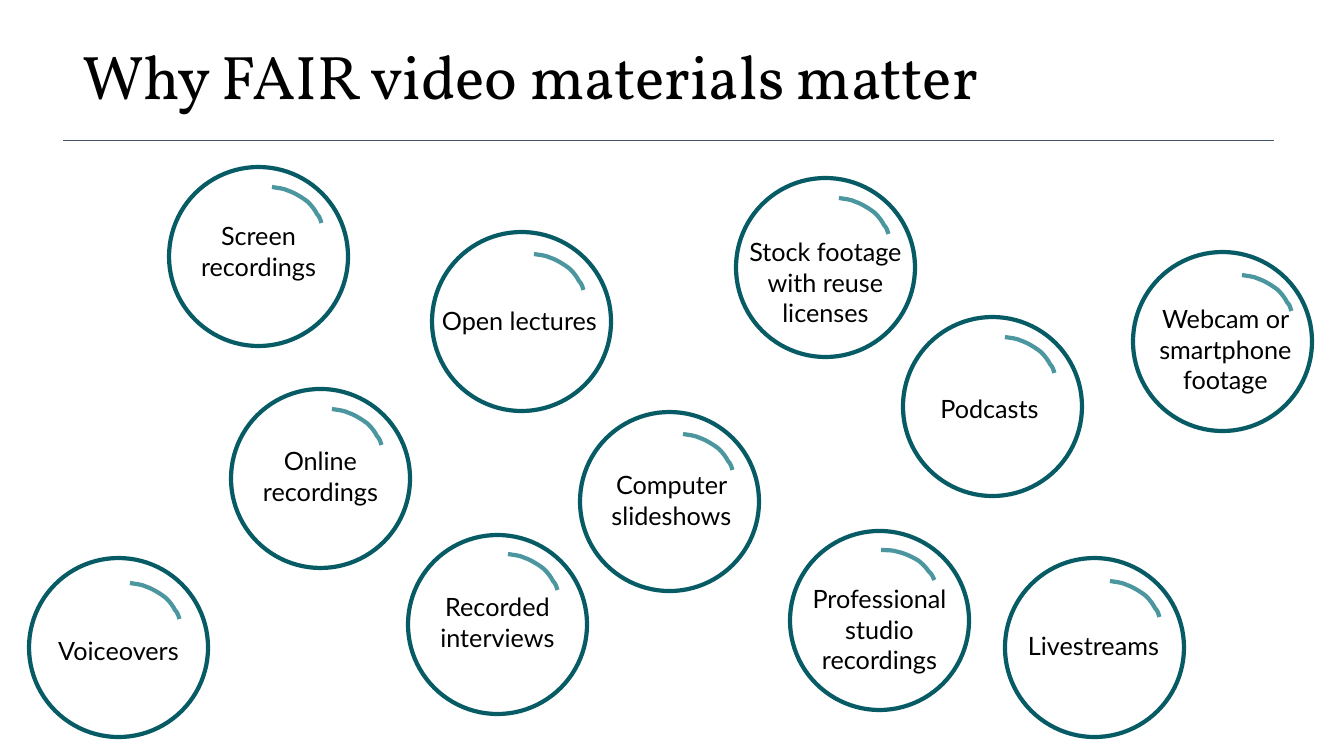
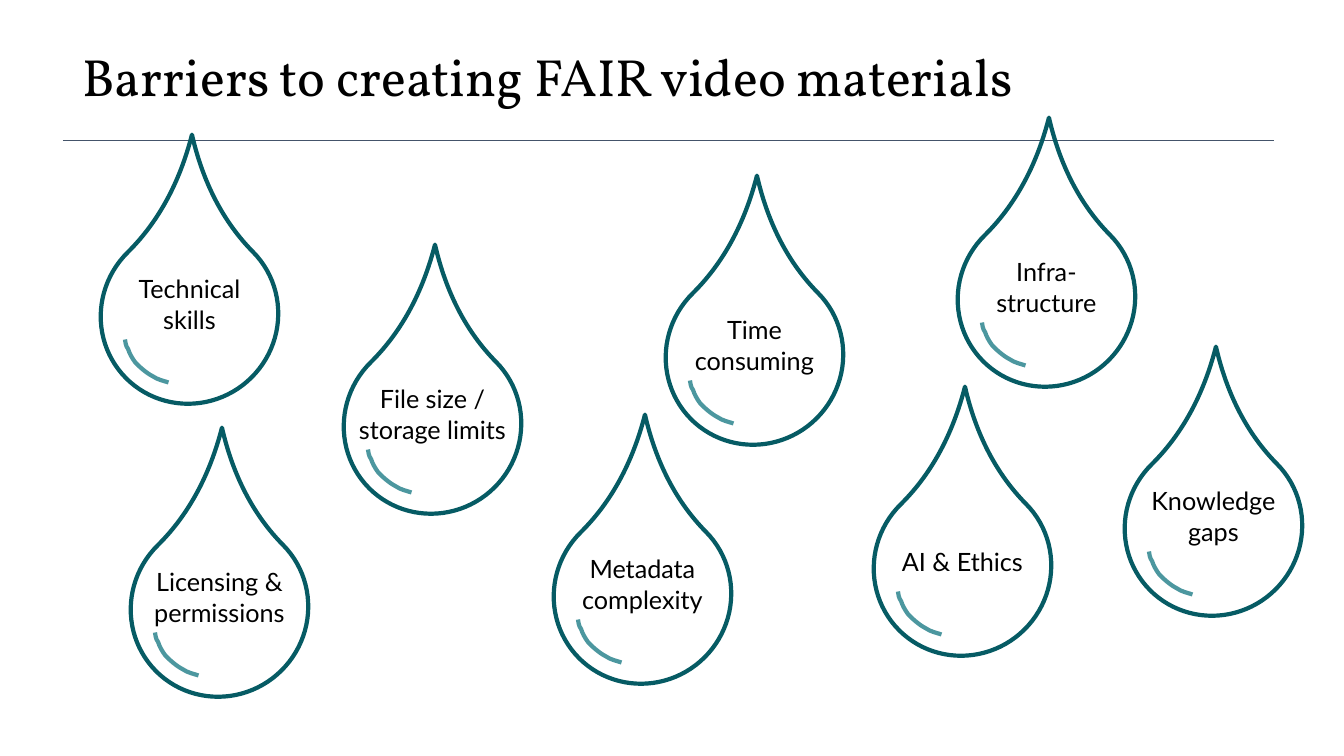
"""Build two slides on FAIR video materials: bubbles of reasons and drops of barriers."""
from lxml import etree
from pptx import Presentation
from pptx.dml.color import RGBColor
from pptx.enum.shapes import MSO_CONNECTOR, MSO_SHAPE
from pptx.enum.text import MSO_ANCHOR, MSO_AUTO_SIZE, PP_ALIGN
from pptx.oxml.ns import qn
from pptx.util import Emu, Pt

STRAIGHT = MSO_CONNECTOR.STRAIGHT
OVAL, TEAR = MSO_SHAPE.OVAL, MSO_SHAPE.TEAR
MIDDLE = MSO_ANCHOR.MIDDLE
NO_FIT = MSO_AUTO_SIZE.NONE
LEFT, CENTER = PP_ALIGN.LEFT, PP_ALIGN.CENTER

WIDTH, HEIGHT = 1344, 756
SCALE = 12192000 / WIDTH
BLACK = RGBColor(0x00, 0x00, 0x00)
TEAL = RGBColor(0x06, 0x5B, 0x64)
LIGHT_TEAL = RGBColor(0x4C, 0x97, 0x9F)
SLATE = RGBColor(0x44, 0x54, 0x6A)
TITLE_FONT, BODY_FONT = "Vollkorn", "Lato"

GLINT = [(50, 10), (110, 10), (170, 40), (230, 60), (310, 110), (360, 150),
         (400, 190), (430, 230), (450, 270), (480, 300), (485, 330), (495, 360)]

BUBBLES = [
    ("Open lectures", 432, 232, -2, 88, 102, 22, 0),
    ("Online recordings", 231, 389, 0, 87, 101, 20, 0),
    ("Podcasts", 903, 317, -3, 91, 102, 20, 0),
    ("Stock footage with reuse licenses", 736, 178, 0, 104, 103, 20, 0),
    ("Screen recordings", 169, 167, 0, 84, 103, 20, 0),
    ("Voiceovers", 29, 558, 0, 92, 101, 25, 0),
    ("Webcam or smartphone footage", 1133, 252, 3, 97, 109, 23, 0),
    ("Computer slideshows", 580, 412, 2, 88, 103, 22, 0),
    ("Livestreams", 1005, 558, -1, 87, 105, 23, 0),
    ("Professional studio recordings", 790, 531, 0, 98, 93, 16, 353.4),
    ("Recorded interviews", 408, 535, 0, 87, 100, 19, 0),
]
DROPS = [(label, x, y, 0, text_y, 22, 116, 188.6) for label, x, y, text_y in [
    ("Technical skills", 100, 227, 77),
    ("File size / storage limits", 343, 337, 77),
    ("Time consuming", 665, 268, 77),
    ("Metadata complexity", 553, 507, 77),
    ("Licensing & permissions", 130, 520, 77),
    ("Infra-\nstructure", 957, 210, 77),
    ("AI & Ethics", 873, 479, 82),
    ("Knowledge gaps", 1124, 439, 77),
]]
SLIDES = [
    ("Why FAIR video materials matter", 44, OVAL, 179, 0, 190, BUBBLES),
    ("Barriers to creating FAIR video materials", 37.4, TEAR, 176, 315.3, 170, DROPS),
]


def px(*lengths):
    return [Emu(round(n * SCALE)) for n in lengths]


def outline(sp, color):
    sp.shadow.inherit = False
    sp.fill.background()
    sp.line.color.rgb = color
    sp.line.width = Pt(3)


prs = Presentation()
prs.slide_width, prs.slide_height = px(WIDTH, HEIGHT)

for title, size, preset, height, turn, text_width, items in SLIDES:
    s = prs.slides.add_slide(prs.slide_layouts[5])
    sp = s.shapes.title
    sp.left, sp.top, sp.width, sp.height = px(72, 34, 1051, 92)
    tf = sp.text_frame
    tf.text = title
    tf.auto_size = NO_FIT
    tf.vertical_anchor = MIDDLE
    p = tf.paragraphs[0]
    p.alignment = LEFT
    p.line_spacing = 0.9
    p.font.name, p.font.size = TITLE_FONT, Pt(size)
    p.font.color.rgb = BLACK

    rule = s.shapes.add_connector(STRAIGHT, *px(63, 141, 1274, 141))
    rule.line.color.rgb = SLATE
    rule.line.width = Pt(0.75)
    etree.SubElement(rule._element.spPr, qn("a:effectLst"))

    for label, x, y, text_dx, text_y, glint_x, glint_y, glint_turn in items:
        sp = s.shapes.add_shape(preset, *px(x, y, 179, height))
        sp.rotation = turn
        if preset == TEAR:
            sp.adjustments[0] = 1.437
        outline(sp, TEAL)

        text_left = x + text_dx + (179 - text_width) / 2
        box = s.shapes.add_textbox(*px(text_left, y + text_y - 51, text_width, 102))
        tf = box.text_frame
        tf.word_wrap = True
        tf.vertical_anchor = MIDDLE
        tf.text = label
        for p in tf.paragraphs:
            p.alignment = CENTER
            p.font.name, p.font.size = BODY_FONT, Pt(18)
            p.font.color.rgb = BLACK

        builder = s.shapes.build_freeform(0, 0, scale=SCALE / 10)
        builder.add_line_segments(GLINT, close=False)
        glint = builder.convert_to_shape(*px(x + glint_x, y + glint_y))
        glint.rotation = glint_turn
        outline(glint, LIGHT_TEAL)
        segments = glint._element.xpath(".//a:lnTo")
        for i in range(0, len(segments), 3):
            curve = etree.Element(qn("a:cubicBezTo"))
            segments[i].addprevious(curve)
            for segment in segments[i:i + 3]:
                curve.append(segment[0])
                segment.getparent().remove(segment)

prs.save("out.pptx")
